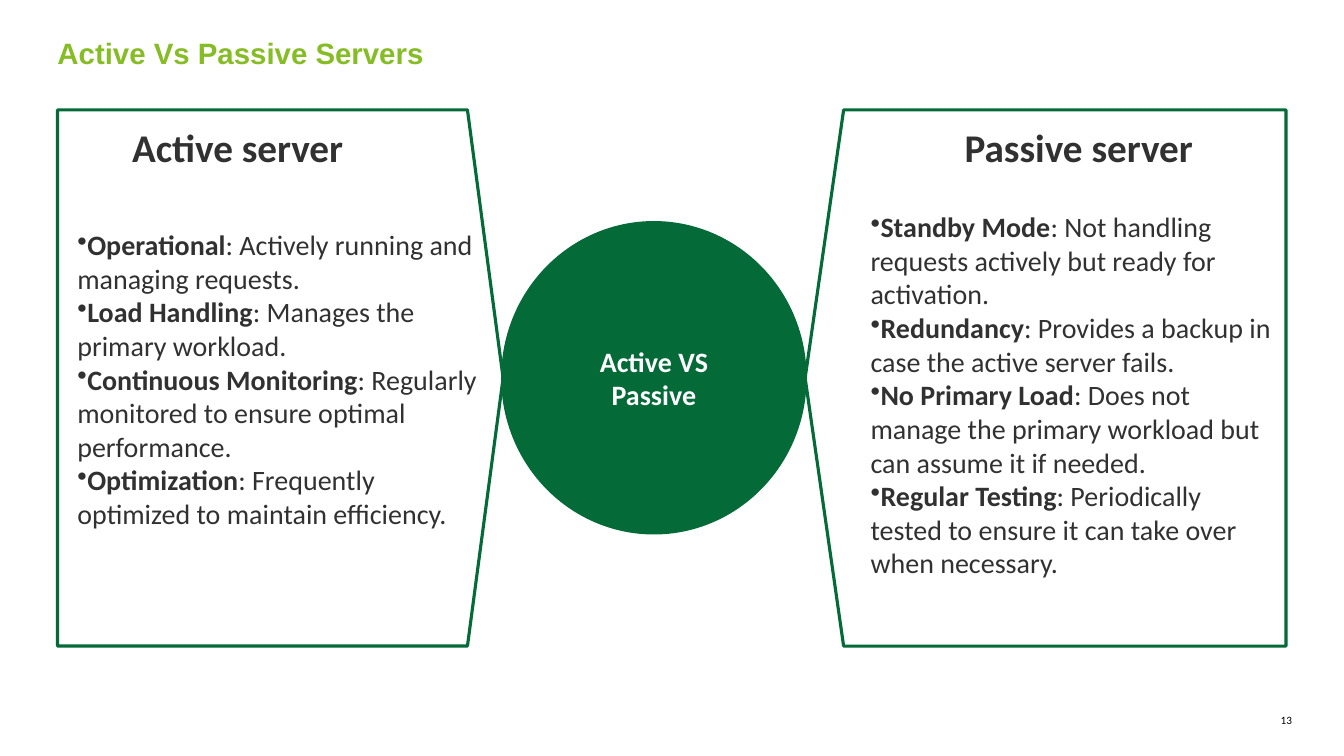
from lxml.etree import SubElement
from pptx import Presentation
from pptx.dml.color import RGBColor
from pptx.enum.shapes import MSO_SHAPE
from pptx.enum.text import MSO_ANCHOR, PP_ALIGN
from pptx.oxml.ns import qn
from pptx.util import Cm, Pt

GREEN, LIME, DARK, WHITE, BLACK = "046A38", "86BC25", "313131", "FFFFFF", "000000"
TITLE = "Active Vs Passive Servers"
HUB = "Active VS Passive"
PAGE = "13"
SIDES = [
    {
        "panel": (1.45, 11.23), "turn": 0,
        "head": "Active server", "headbox": (3.33, 3.12, 5.38, 1.19),
        "listbox": (1.7, 5.61, 10.72, 7.95),
        "items": [
            ("Operational", ": Actively running and managing requests."),
            ("Load Handling", ": Manages the primary workload."),
            ("Continuous Monitoring", ": Regularly monitored to ensure optimal performance."),
            ("Optimization", ": Frequently optimized to maintain efficiency."),
        ],
    },
    {
        "panel": (20.29, 12.12), "turn": 180,
        "head": "Passive server", "headbox": (24.31, 3.12, 5.82, 1.19),
        "listbox": (21.69, 5.16, 10.69, 9.65),
        "items": [
            ("Standby Mode", ": Not handling requests actively but ready for activation."),
            ("Redundancy", ": Provides a backup in case the active server fails."),
            ("No Primary Load", ": Does not manage the primary workload but can assume it if needed."),
            ("Regular Testing", ": Periodically tested to ensure it can take over when necessary."),
        ],
    },
]
TOP, HIGH, POINT = 2.77, 13.51, 0.08


def color(code):
    return RGBColor.from_string(code)


def place(box):
    return [Cm(n) for n in box]


def add_run(para, text, size, code, bold=False, face="Calibri"):
    run = para.add_run()
    run.text = text
    run.font.name = face
    run.font.size = Pt(size)
    run.font.bold = bold
    run.font.color.rgb = color(code)


def add_form(kind, box, fill):
    form = slide.shapes.add_shape(kind, *place(box))
    form.shadow.inherit = False
    form.fill.solid()
    form.fill.fore_color.rgb = color(fill)
    form.line.color.rgb = color(GREEN)
    form.line.width = Pt(2.25)
    return form


def add_frame(box, wrap=True, inset=True):
    frame = slide.shapes.add_textbox(*place(box)).text_frame
    frame.word_wrap = wrap
    if not inset:
        frame.margin_left = frame.margin_right = 0
        frame.margin_top = frame.margin_bottom = 0
    return frame


def add_list(box, items):
    frame = add_frame(box)
    for i, (term, text) in enumerate(items):
        para = frame.add_paragraph() if i else frame.paragraphs[0]
        props = para._p.get_or_add_pPr()
        props.set("marL", "0")
        props.set("indent", "0")
        SubElement(props, qn("a:buChar")).set("char", "•")
        add_run(para, term, 20, DARK, True)
        add_run(para, text, 20, DARK)


deck = Presentation()
deck.slide_width, deck.slide_height = Cm(33.87), Cm(19.05)
slide = deck.slides.add_slide(deck.slide_layouts[6])

for side in SIDES:
    left, wide = side["panel"]
    panel = add_form(MSO_SHAPE.PENTAGON, (left, TOP, wide, HIGH), WHITE)
    panel.adjustments[0] = POINT
    panel.rotation = side["turn"]

hub = add_form(MSO_SHAPE.OVAL, (12.67, 5.61, 7.62, 7.82), GREEN)
frame = hub.text_frame
frame.word_wrap = True
frame.vertical_anchor = MSO_ANCHOR.MIDDLE
frame.margin_left = frame.margin_right = Cm(0.25)
frame.margin_top = frame.margin_bottom = Cm(0.25)
frame.paragraphs[0].alignment = PP_ALIGN.CENTER
add_run(frame.paragraphs[0], HUB, 20, WHITE, True)

title = add_frame((1.45, 0.89, 31.12, 0.97), inset=False)
add_run(title.paragraphs[0], TITLE, 21, LIME, True, "Arial")

for side in SIDES:
    head = add_frame(side["headbox"], wrap=False, inset=False)
    add_run(head.paragraphs[0], side["head"], 28, DARK, True)
    add_list(side["listbox"], side["items"])

page = add_frame((31.7, 17.98, 0.86, 0.33), inset=False)
page.paragraphs[0].alignment = PP_ALIGN.RIGHT
add_run(page.paragraphs[0], PAGE, 8, BLACK)

deck.save("out.pptx")
